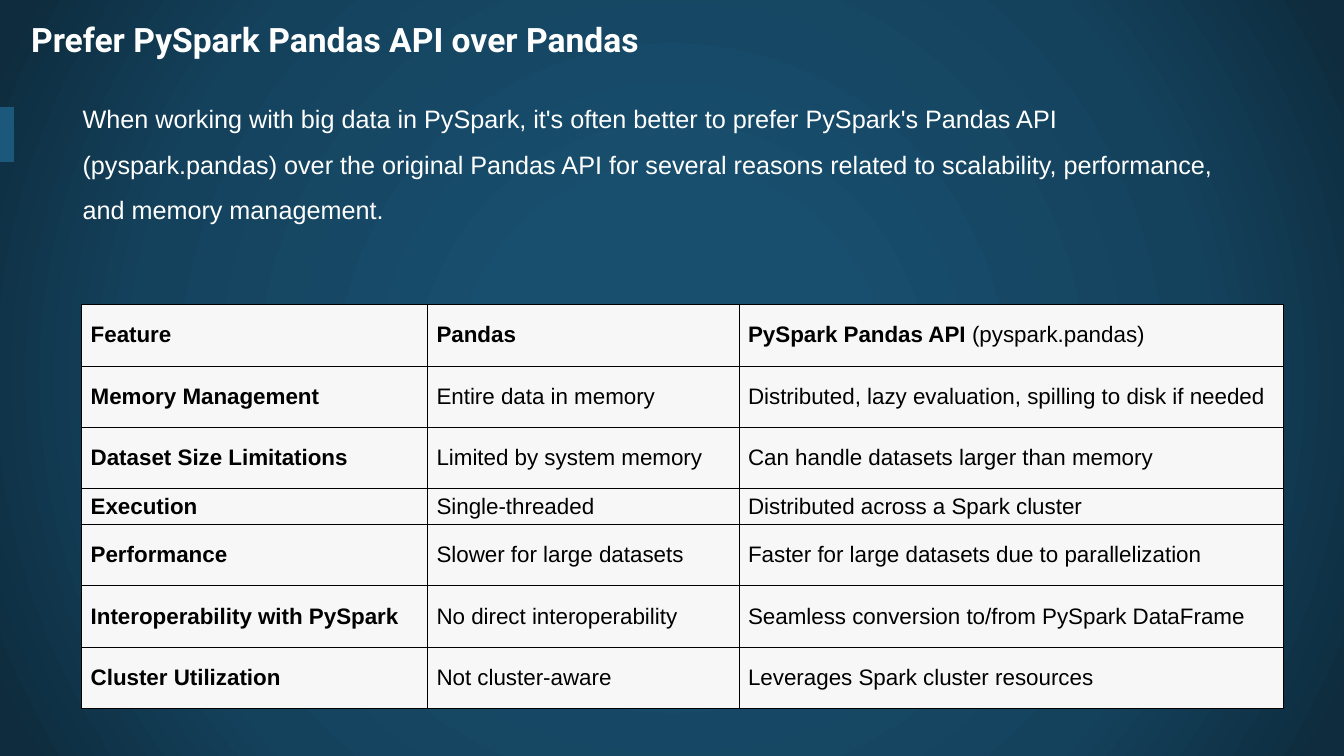
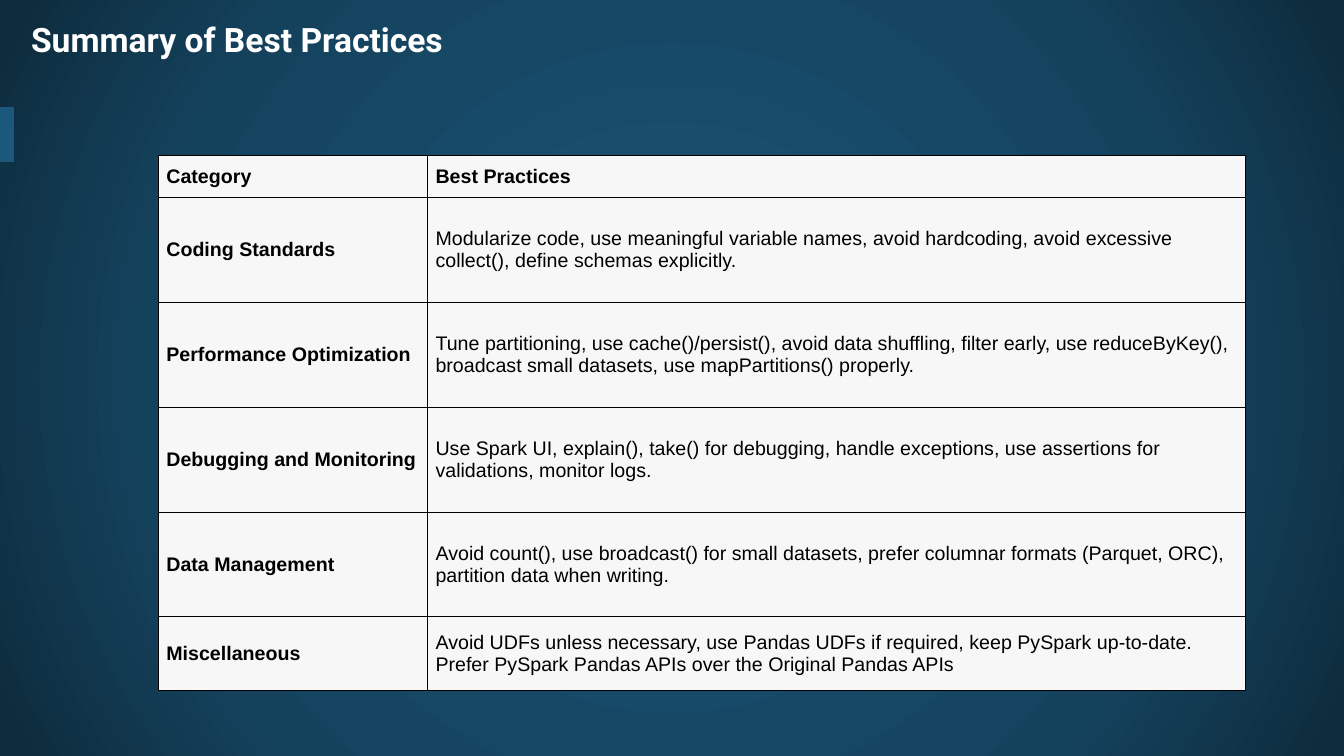
from pptx import Presentation
from pptx.dml.color import RGBColor
from pptx.enum.shapes import MSO_CONNECTOR as Line
from pptx.enum.text import MSO_ANCHOR as Anchor
from pptx.oxml import parse_xml
from pptx.oxml.ns import nsdecls, qn
from pptx.util import Inches, Pt

WHITE, BLACK, CELL, BAR = "FFFFFF", "000000", "F7F7F7", "1B587C"
STOPS = [(0, "184E6E"), (23, "184E6E"), (69, "14425D"), (97, "0E2C3E")]

# A tuple in a cell holds its main text and a tail that is never bold.
PAGES = [
    {
        "title": "Prefer PySpark Pandas API over Pandas",
        "intro": "When working with big data in PySpark, it's often better to prefer "
                 "PySpark's Pandas API (pyspark.pandas) over the original Pandas API for "
                 "several reasons related to scalability, performance, and memory management.",
        "at": (0.81, 3.02), "size": 16, "pad": 0.09,
        "cols": [3.43, 3.09, 5.4],
        "heights": [0.61] * 3 + [0.35] + [0.61] * 3,
        "rows": [
            ("Feature", "Pandas", ("PySpark Pandas API", " (pyspark.pandas)")),
            ("Memory Management", "Entire data in memory",
             "Distributed, lazy evaluation, spilling to disk if needed"),
            ("Dataset Size Limitations", "Limited by system memory",
             "Can handle datasets larger than memory"),
            ("Execution", "Single-threaded", "Distributed across a Spark cluster"),
            ("Performance", "Slower for large datasets",
             "Faster for large datasets due to parallelization"),
            ("Interoperability with PySpark", "No direct interoperability",
             "Seamless conversion to/from PySpark DataFrame"),
            ("Cluster Utilization", "Not cluster-aware",
             "Leverages Spark cluster resources"),
        ],
    },
    {
        "title": "Summary of Best Practices",
        "at": (1.57, 1.54), "size": 14, "pad": 0.08,
        "cols": [2.67, 8.11],
        "heights": [0.42] + [1.04] * 4 + [0.73],
        "rows": [
            ("Category", "Best Practices"),
            ("Coding Standards",
             "Modularize code, use meaningful variable names, avoid hardcoding, "
             "avoid excessive collect(), define schemas explicitly."),
            ("Performance Optimization",
             "Tune partitioning, use cache()/persist(), avoid data shuffling, filter early, "
             "use reduceByKey(), broadcast small datasets, use mapPartitions() properly."),
            ("Debugging and Monitoring",
             "Use Spark UI, explain(), take() for debugging, handle exceptions, "
             "use assertions for validations, monitor logs."),
            ("Data Management",
             "Avoid count(), use broadcast() for small datasets, prefer columnar formats "
             "(Parquet, ORC), partition data when writing."),
            ("Miscellaneous",
             "Avoid UDFs unless necessary, use Pandas UDFs if required, "
             "keep PySpark up-to-date.\n"
             "Prefer PySpark Pandas APIs over the Original Pandas APIs"),
        ],
    },
]


def rgb(code):
    return RGBColor.from_string(code)


def write(frame, text, tail="", size=18, font="Arial", color=WHITE, bold=False, space=None):
    """Fill a frame with one paragraph per line, then a plain tail."""
    frame.word_wrap = True
    frame.text = text
    if tail:
        frame.paragraphs[-1].add_run().text = tail
    for para in frame.paragraphs:
        if space:
            para.line_spacing = space
        for run in para.runs:
            run.font.size, run.font.name = Pt(size), font
            run.font.bold = bold and run.text != tail
            run.font.color.rgb = rgb(color)


def add_text(slide, at, text, **style):
    box = slide.shapes.add_textbox(*map(Inches, at))
    write(box.text_frame, text, **style)


def add_bar(slide):
    bar = slide.shapes.add_connector(
        Line.STRAIGHT, Inches(0.07), Inches(1.61), Inches(0.07), Inches(1.06))
    bar.line.color.rgb, bar.line.width = rgb(BAR), Pt(10)
    bar._element.spPr.append(parse_xml(f'<a:effectLst {nsdecls("a")}/>'))


def add_edges(cell):
    props = cell._tc.get_or_add_tcPr()
    for side in "LRTB":
        props.append(parse_xml(
            f'<a:ln{side} {nsdecls("a")} w="{Pt(0.6)}"><a:solidFill>'
            f'<a:srgbClr val="{BLACK}"/></a:solidFill></a:ln{side}>'))


def add_grid(slide, page):
    cols, heights, rows = page["cols"], page["heights"], page["rows"]
    box = *page["at"], sum(cols), sum(heights)
    grid = slide.shapes.add_table(len(rows), len(cols), *map(Inches, box)).table
    grid.first_row = grid.horz_banding = False
    for col, width in zip(grid.columns, cols):
        col.width = Inches(width)
    for r, (row, height) in enumerate(zip(rows, heights)):
        grid.rows[r].height = Inches(height)
        for c, item in enumerate(row):
            cell = grid.cell(r, c)
            text, tail = item if isinstance(item, tuple) else (item, "")
            write(cell.text_frame, text, tail, size=page["size"], color=BLACK,
                  bold=r == 0 or c == 0)
            cell.vertical_anchor = Anchor.MIDDLE
            cell.margin_left = cell.margin_right = Inches(page["pad"])
            cell.margin_top = cell.margin_bottom = Inches(0.04)
            add_edges(cell)
            cell.fill.solid()
            cell.fill.fore_color.rgb = rgb(CELL)


def set_back(master):
    """Give the master a round gradient that all slides inherit."""
    master.background.fill.solid()
    props = master.element.find(".//" + qn("p:bgPr"))
    stops = "".join(f'<a:gs pos="{pos * 1000}"><a:srgbClr val="{code}"/></a:gs>'
                    for pos, code in STOPS)
    mid = " ".join(f'{side}="50000"' for side in "ltrb")
    props.replace(props[0], parse_xml(
        f'<a:gradFill {nsdecls("a")} rotWithShape="1"><a:gsLst>{stops}</a:gsLst>'
        f'<a:path path="circle"><a:fillToRect {mid}/></a:path></a:gradFill>'))


def main():
    deck = Presentation()
    deck.slide_width, deck.slide_height = Inches(13.33), Inches(7.5)
    set_back(deck.slide_master)
    for page in PAGES:
        slide = deck.slides.add_slide(deck.slide_layouts[6])
        add_bar(slide)
        if "intro" in page:
            add_text(slide, (0.72, 0.83, 11.71, 1.41), page["intro"], space=1.5)
        add_text(slide, (0.21, 0.14, 10.89, 0.5), page["title"],
                 size=24, font="Roboto", bold=True)
        add_grid(slide, page)
    deck.save("out.pptx")


if __name__ == "__main__":
    main()
